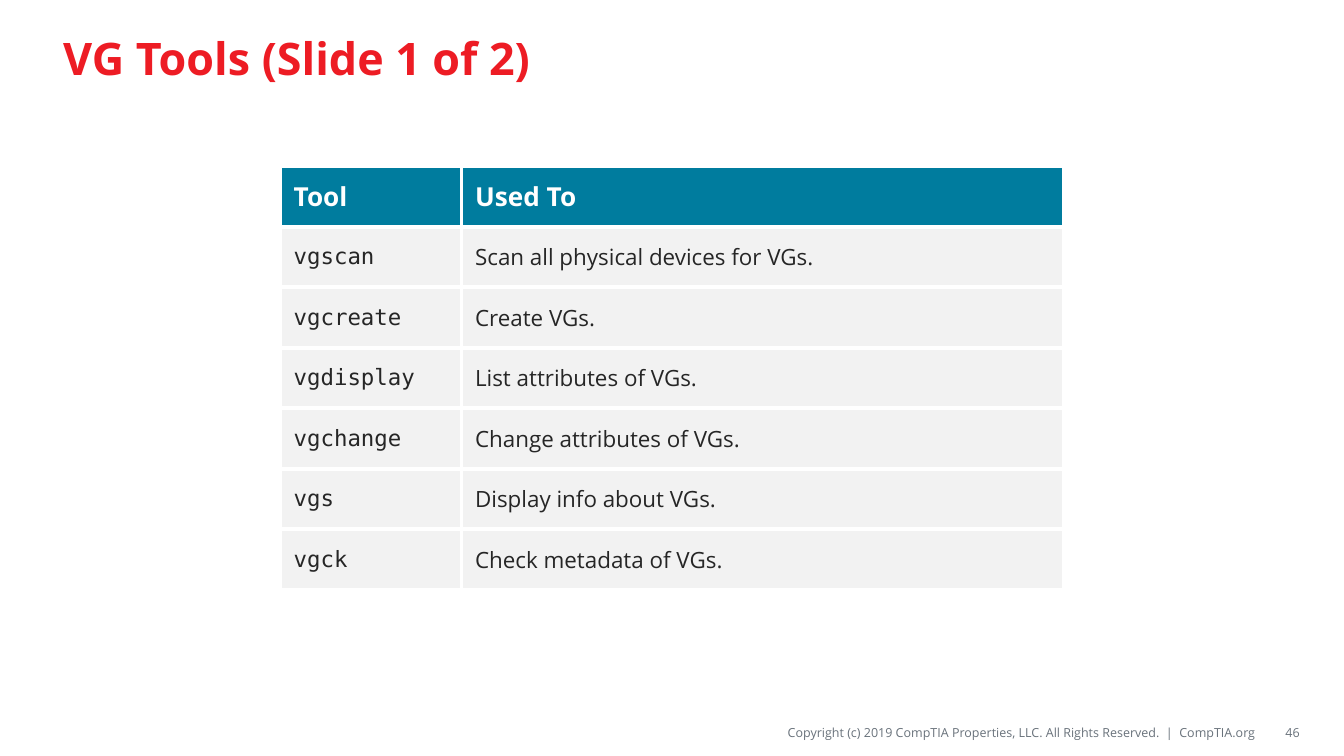
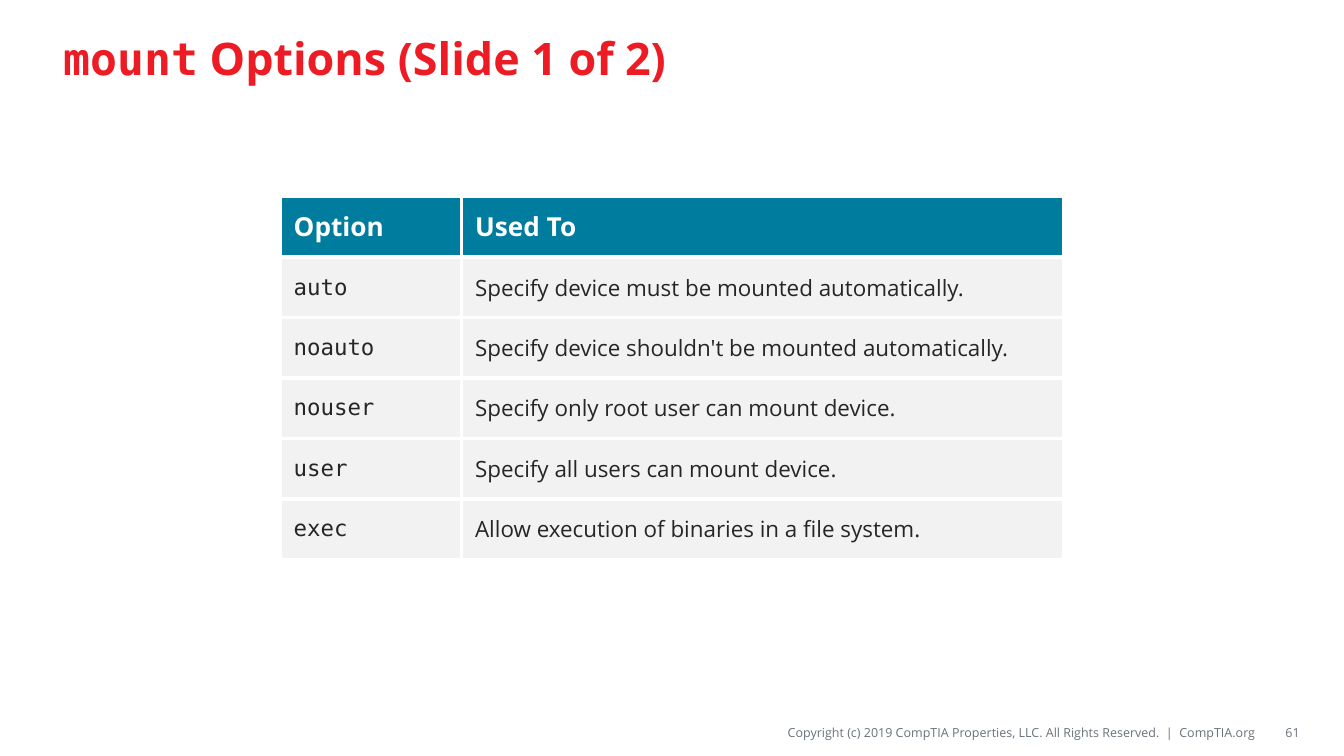
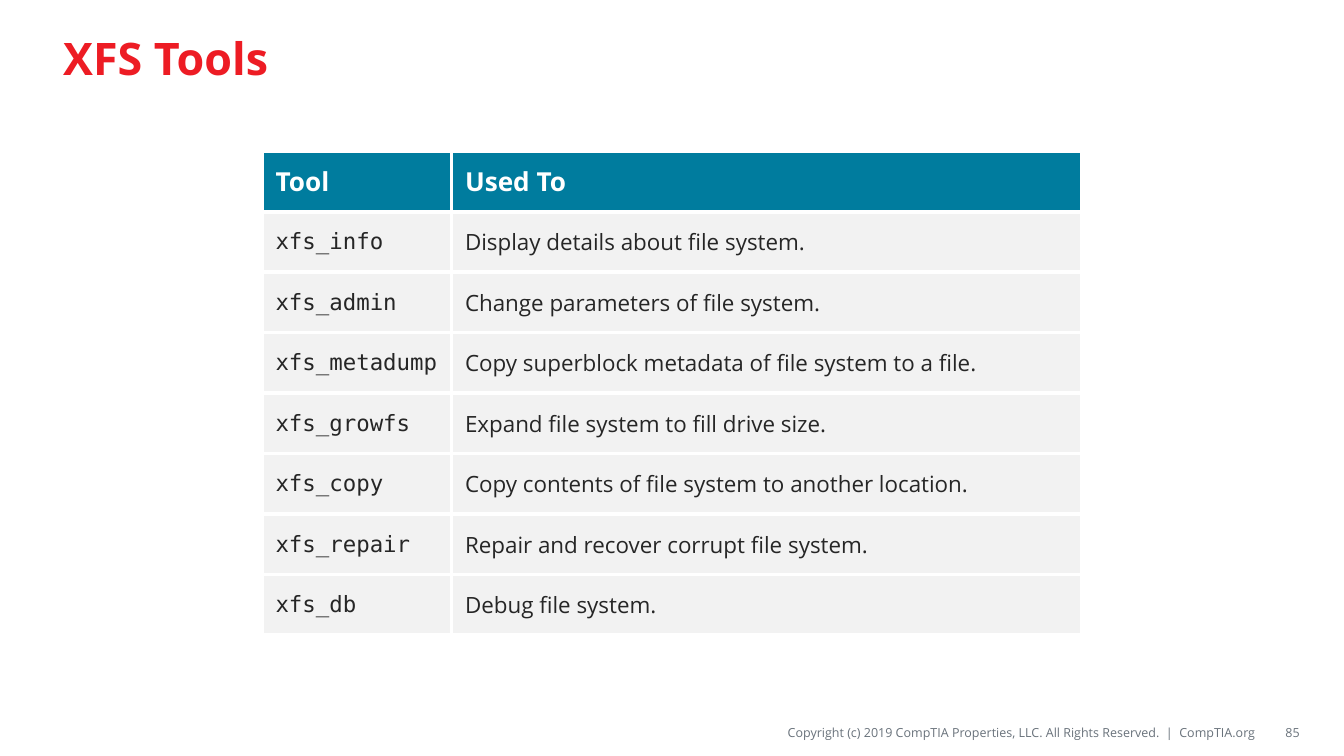
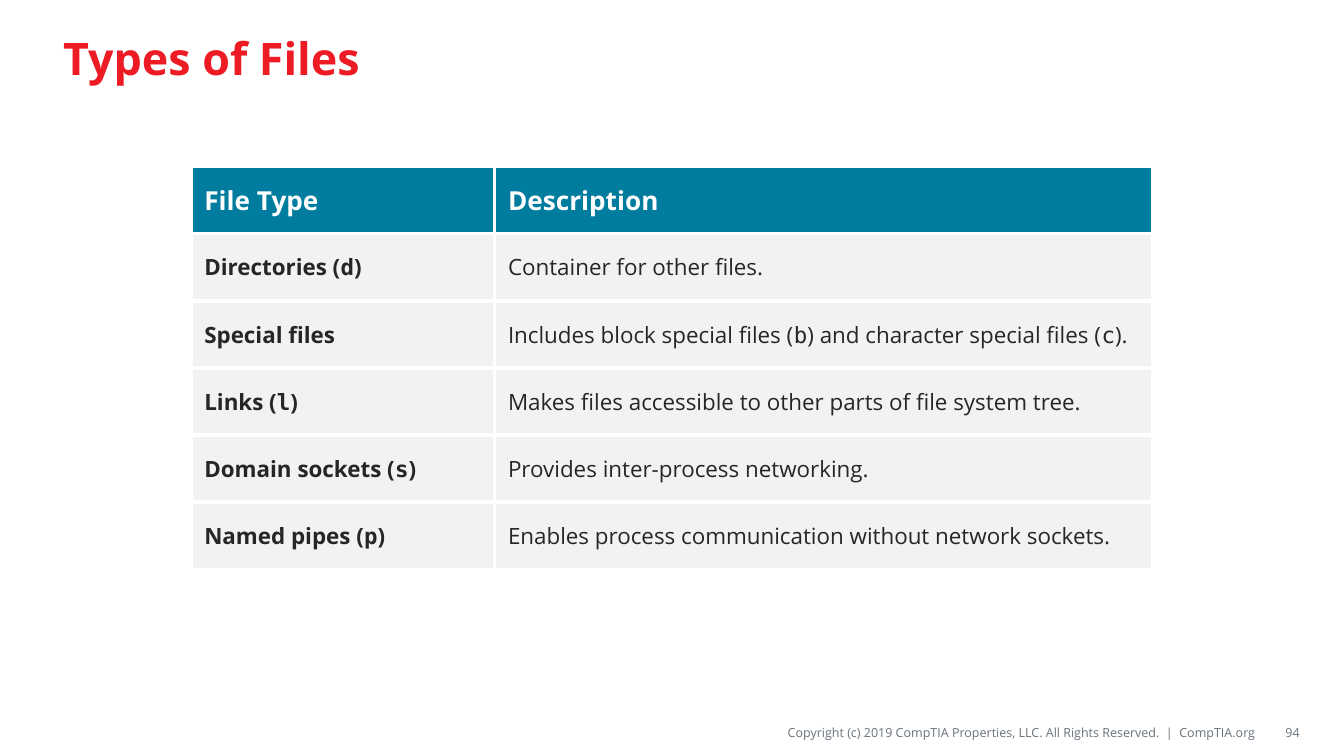
"""Build four slides of storage and file reference tables."""
from lxml.etree import fromstring
from pptx import Presentation
from pptx.dml.color import RGBColor
from pptx.enum.text import MSO_ANCHOR, PP_ALIGN
from pptx.oxml.ns import nsdecls
from pptx.util import Inches, Pt

RED = RGBColor(0xED, 0x1C, 0x24)
TEAL = RGBColor(0x00, 0x7C, 0x9E)
WHITE = RGBColor(0xFF, 0xFF, 0xFF)
PALE_GRAY = RGBColor(0xF2, 0xF2, 0xF2)
INK = RGBColor(0x26, 0x26, 0x26)
SLATE = RGBColor(0x69, 0x72, 0x7B)
SANS = "Open Sans"
MONO = "DejaVu Sans Mono"
COPYRIGHT = "Copyright (c) 2019 CompTIA Properties, LLC. All Rights Reserved.  |  CompTIA.org"

TOPICS = [
    ("VG Tools (Slide 1 of 2)", 46, 0.22, 0.45, (1.35, 4.48), [
        ("Tool", "Used To"),
        ("`vgscan`", "Scan all physical devices for VGs."),
        ("`vgcreate`", "Create VGs."),
        ("`vgdisplay`", "List attributes of VGs."),
        ("`vgchange`", "Change attributes of VGs."),
        ("`vgs`", "Display info about VGs."),
        ("`vgck`", "Check metadata of VGs."),
    ]),
    ("`mount` Options (Slide 1 of 2)", 61, 0.26, 0.45, (1.35, 4.48), [
        ("Option", "Used To"),
        ("`auto`", "Specify device must be mounted automatically."),
        ("`noauto`", "Specify device shouldn't be mounted automatically."),
        ("`nouser`", "Specify only root user can mount device."),
        ("`user`", "Specify all users can mount device."),
        ("`exec`", "Allow execution of binaries in a file system."),
    ]),
    ("XFS Tools", 85, 0.2, 0.45, (1.41, 4.69), [
        ("Tool", "Used To"),
        ("`xfs_info`", "Display details about file system."),
        ("`xfs_admin`", "Change parameters of file system."),
        ("`xfs_metadump`", "Copy superblock metadata of file system to a file."),
        ("`xfs_growfs`", "Expand file system to fill drive size."),
        ("`xfs_copy`", "Copy contents of file system to another location."),
        ("`xfs_repair`", "Repair and recover corrupt file system."),
        ("`xfs_db`", "Debug file system."),
    ]),
    ("Types of Files", 94, 0.22, 0.5, (2.26, 4.9), [
        ("File Type", "Description"),
        ("Directories (`d`)", "Container for other files."),
        ("Special files", "Includes block special files (`b`) and character special files (`c`)."),
        ("Links (`l`)", "Makes files accessible to other parts of file system tree."),
        ("Domain sockets (`s`)", "Provides inter-process networking."),
        ("Named pipes (`p`)", "Enables process communication without network sockets."),
    ]),
]


def write(frame, text, size, color, bold=False, align=PP_ALIGN.LEFT):
    """Fill a text frame, setting the parts between backticks in monospace."""
    paragraph = frame.paragraphs[0]
    paragraph.alignment = align
    paragraph.font.name = SANS
    paragraph.font.size = Pt(size)
    paragraph.font.bold = bold
    paragraph.font.color.rgb = color
    for position, part in enumerate(text.split("`")):
        if part:
            run = paragraph.add_run()
            run.text = part
            if position % 2:
                run.font.name = MONO


def add_borders(cell):
    """Draw white rules on the four sides of a cell."""
    properties = cell._tc.get_or_add_tcPr()
    for index, side in enumerate("LRTB"):
        properties.insert(index, fromstring(
            f'<a:ln{side} {nsdecls("a")} w="{Pt(2.25)}"><a:solidFill>'
            f'<a:srgbClr val="{WHITE}"/></a:solidFill></a:ln{side}>'))


deck = Presentation()
deck.slide_width = Inches(10)
deck.slide_height = deck.slide_width * 9 // 16
layout = deck.slide_layouts[5]
heading = layout.placeholders[0]
heading.left, heading.top = Inches(0.37), Inches(0.08)
heading.width, heading.height = Inches(9.25), Inches(0.69)

for title, page, top_share, row_height, widths, rows in TOPICS:
    slide = deck.slides.add_slide(layout)
    write(slide.shapes.title.text_frame, title, 24, RED, bold=True)

    for footer, left, width in ((COPYRIGHT, 3.88, 5.47), (str(page), 9.38, 0.29)):
        frame = slide.shapes.add_textbox(
            Inches(left), Inches(5.34), Inches(width), Inches(0.22)).text_frame
        frame.word_wrap = True
        frame.vertical_anchor = MSO_ANCHOR.MIDDLE
        frame.margin_left = frame.margin_right = 0
        frame.margin_top = frame.margin_bottom = Inches(0.04)
        write(frame, footer, 6.75, SLATE, align=PP_ALIGN.RIGHT)

    table_width = Inches(sum(widths))
    table = slide.shapes.add_table(
        len(rows), len(widths), (deck.slide_width - table_width) // 2,
        int(deck.slide_height * top_share), table_width,
        Inches(row_height * len(rows))).table
    table.horz_banding = False
    for column, width in zip(table.columns, widths):
        column.width = Inches(width)
    for row_index, entries in enumerate(rows):
        is_header = row_index == 0
        for column_index, entry in enumerate(entries):
            cell = table.cell(row_index, column_index)
            cell.vertical_anchor = MSO_ANCHOR.MIDDLE
            cell.fill.solid()
            cell.fill.fore_color.rgb = TEAL if is_header else PALE_GRAY
            add_borders(cell)
            is_label = column_index == 0 and not entry.startswith("`")
            write(cell.text_frame, entry, 14 if is_header else 12,
                  WHITE if is_header else INK, bold=is_header or is_label)

deck.save("out.pptx")
